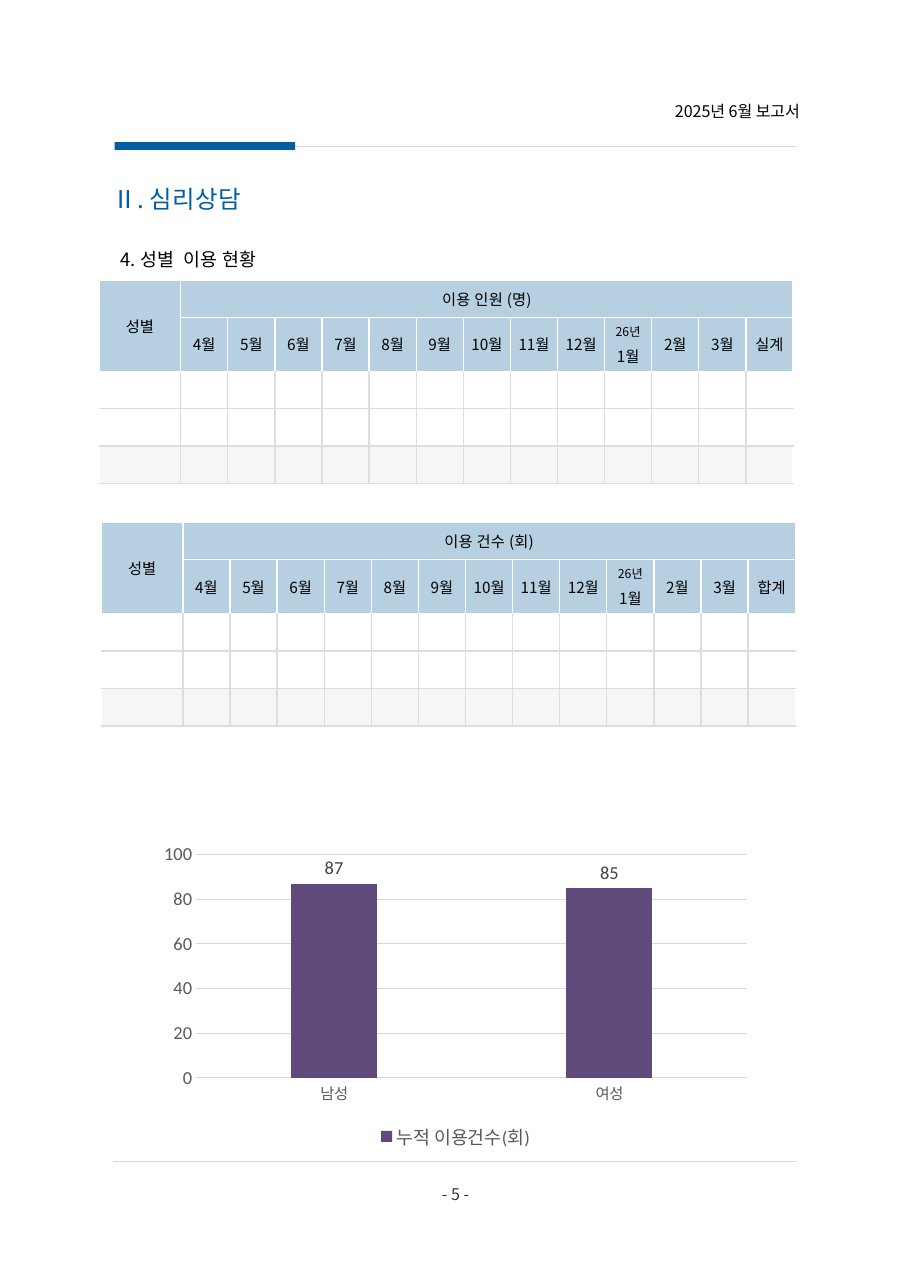
from lxml.etree import SubElement
from pptx import Presentation
from pptx.chart.data import CategoryChartData
from pptx.dml.color import RGBColor
from pptx.enum.chart import XL_CHART_TYPE as CT, XL_LABEL_POSITION as LP
from pptx.enum.chart import XL_LEGEND_POSITION as LG, XL_TICK_MARK as TM
from pptx.enum.shapes import MSO_CONNECTOR as CN, MSO_SHAPE as SH
from pptx.enum.text import MSO_ANCHOR as ANC, MSO_AUTO_SIZE as AS, PP_ALIGN as AL
from pptx.oxml.ns import qn
from pptx.util import Inches, Pt

KR, LATIN = "Noto Sans CJK KR", "Calibri"
BLUE, PALE, GRAY, RULE = "005FA1", "B6D0E1", "F6F6F6", "D9D9D9"
WHITE, BLACK, GRID, PURPLE = "FFFFFF", "000000", "DDDDDD", "604A7B"
MONTHS = [f"{m}월" for m in range(4, 13)] + ["26년\n1월", "2월", "3월"]


def rgb(color):
    return RGBColor.from_string(color)


def assign(obj, values):
    for name, value in values.items():
        setattr(obj, name, value)


def style_font(font, size, color, name=KR):
    assign(font, dict(size=Pt(size), name=name, bold=False))
    font.color.rgb = rgb(color)


def add_run(p, text, size, color=BLACK, spacing=0):
    r = p.add_run()
    r.text = text
    style_font(r.font, size, color)
    props = r.font._element if hasattr(r.font, "_element") else r._r.get_or_add_rPr()
    props.set("spc", str(round(spacing * 100)))
    SubElement(props, qn("a:ea"), typeface=KR)


def add_rule(s, x1, x2, y):
    line = s.shapes.add_connector(CN.STRAIGHT, Inches(x1), Inches(y), Inches(x2), Inches(y))
    line.line.color.rgb = rgb(RULE)
    line.line.width = Pt(0.75)
    SubElement(line._element.spPr, qn("a:effectLst"))


def add_text(s, box, runs, top, **paragraph):
    tf = s.shapes.add_textbox(*map(Inches, box)).text_frame
    assign(tf, dict(word_wrap=True, margin_left=0, margin_right=0,
                    margin_top=Inches(top), margin_bottom=0))
    assign(tf.paragraphs[0], paragraph)
    for run in runs:
        add_run(tf.paragraphs[0], *run)


def add_header(s, x, y, w):
    add_text(s, (x + w - 1.66, y, 1.69, 0.19), [("2025년 6월 보고서", 10.5)], 0.01,
             alignment=AL.RIGHT, space_before=Pt(1))
    add_rule(s, x + 1.47, x + w, y + 0.42)
    bar = s.shapes.add_shape(SH.RECTANGLE, Inches(x), Inches(y + 0.38), Inches(1.64), Inches(0.07))
    bar.shadow.inherit = False
    bar.fill.solid()
    bar.fill.fore_color.rgb = rgb(BLUE)
    bar.line.fill.background()


def add_headings(s, x, y, w):
    title = s.shapes.title
    assign(title, dict(left=Inches(x), top=Inches(y), width=Inches(2.34), height=Inches(0.37)))
    tf = title.text_frame
    assign(tf, dict(auto_size=AS.NONE, vertical_anchor=ANC.TOP, word_wrap=True))
    tf.paragraphs[0].alignment = AL.LEFT
    add_run(tf.paragraphs[0], "Ⅱ. 심리상담", 16, BLUE, 0.2)
    parts = [("4. 성별", 12, BLACK, 0.2), (" ", 12, BLACK, 3), ("이용 현황", 12, BLACK, 0.2)]
    add_text(s, (x + 0.17, y + 0.45, w - 0.17, 0.36), parts, 0.08,
             line_spacing=1.5, space_before=Pt(6))


def style_cell(cell, fill, edges):
    assign(cell, dict.fromkeys(
        ("margin_left", "margin_right", "margin_top", "margin_bottom"), Inches(0.04)))
    cell.vertical_anchor = ANC.MIDDLE
    props = cell._tc.get_or_add_tcPr()
    for side, color in zip("LRTB", edges):
        line = SubElement(props, qn(f"a:ln{side}"), w=str(Pt(1)))
        SubElement(SubElement(line, qn("a:solidFill")), qn("a:srgbClr"), val=color)
    cell.fill.solid()
    cell.fill.fore_color.rgb = rgb(fill)


def write_cell(cell, lines, before):
    tf = cell.text_frame
    for i, runs in enumerate(lines):
        p = tf.add_paragraph() if i else tf.paragraphs[0]
        assign(p, dict(alignment=AL.CENTER, space_before=Pt(before)))
        for run in runs:
            add_run(p, *run)


def add_usage_table(s, x, y, w, heading, unit, total):
    labels = MONTHS + [total]
    heights = [0.34, 0.49, 0.34, 0.34, 0.34]
    rows, cols = len(heights), len(labels) + 1
    table = s.shapes.add_table(rows, cols, Inches(x), Inches(y),
                               Inches(w), Inches(sum(heights))).table
    assign(table, dict(first_row=False, horz_banding=False))
    for c, col in enumerate(table.columns):
        col.width = Inches((w - 0.74) / len(labels) if c else 0.74)
    for r, height in enumerate(heights):
        table.rows[r].height = Inches(height)
        for c in range(cols):
            cell = table.cell(r, c)
            if r < 2:
                style_cell(cell, PALE, [WHITE] * 4)
                continue
            style_cell(cell, GRAY if r == rows - 1 else WHITE,
                       [GRID if c else WHITE, GRID if c < cols - 1 else WHITE,
                        GRID if r > 2 else WHITE, GRID])
            SubElement(cell.text_frame.paragraphs[0]._p, qn("a:endParaRPr"), sz="1000")
    table.cell(0, 0).merge(table.cell(1, 0))
    table.cell(0, 1).merge(table.cell(0, cols - 1))
    write_cell(table.cell(0, 0), [[("성별", 10)]], 9.1)
    write_cell(table.cell(0, 1),
               [[(f"{heading} ", 10, BLACK, 0.2), (f"({unit})", 10, BLACK, 0.1)]], 8.8)
    for c, label in enumerate(labels, 1):
        lines = [[(text, 8 if "년" in text else 10)] for text in label.split("\n")]
        write_cell(table.cell(1, c), lines, 3.4)


def add_usage_chart(s, x, y, w, h):
    data = CategoryChartData()
    data.categories = ["남성", "여성"]
    data.add_series("누적 이용건수(회)", [87, 85])
    chart = s.shapes.add_chart(CT.COLUMN_CLUSTERED, Inches(x), Inches(y),
                               Inches(w), Inches(h), data).chart
    style_font(chart.font, 10, BLACK, LATIN)
    assign(chart, dict(has_title=False, has_legend=True))
    assign(chart.legend, dict(position=LG.BOTTOM, include_in_layout=False))
    style_font(chart.legend.font, 12, "595959", LATIN)
    cat, val = chart.category_axis, chart.value_axis
    style_font(cat.tick_labels.font, 10, "595959")
    style_font(val.tick_labels.font, 12, "595959", LATIN)
    for axis in (cat, val):
        assign(axis, dict(major_tick_mark=TM.NONE, minor_tick_mark=TM.NONE))
    assign(val, dict(minimum_scale=0, maximum_scale=100, major_unit=20, has_major_gridlines=True))
    for line in (cat.format.line, val.major_gridlines.format.line):
        line.color.rgb = rgb(RULE)
        line.width = Pt(0.75)
    val.format.line.fill.background()
    plot = chart.plots[0]
    assign(plot, dict(gap_width=219, overlap=-27, vary_by_categories=False, has_data_labels=True))
    assign(plot.data_labels, dict(show_value=True, position=LP.OUTSIDE_END))
    style_font(plot.data_labels.font, 12, "404040", LATIN)
    fill = plot.series[0].format.fill
    fill.solid()
    fill.fore_color.rgb = rgb(PURPLE)


def add_footer(s, x, y, w):
    add_rule(s, x, x + w, y)
    add_text(s, (x + w / 2 - 0.2, y + 0.18, 0.41, 0.2), [("- 5 -", 10.5, "333333")], 0.03,
             alignment=AL.CENTER, space_before=Pt(1.9))


def main():
    prs = Presentation()
    assign(prs, dict(slide_width=Inches(8.26), slide_height=Inches(11.69)))
    s = prs.slides.add_slide(prs.slide_layouts[5])
    add_header(s, 1.04, 0.91, 6.19)
    add_headings(s, 0.92, 1.62, 6.3)
    add_usage_table(s, 0.9, 2.54, 6.3, "이용 인원", "명", "실계")
    add_usage_table(s, 0.92, 4.74, 6.3, "이용 건수", "회", "합계")
    add_usage_chart(s, 1.38, 7.6, 5.51, 2.88)
    add_footer(s, 1.03, 10.54, 6.2)
    prs.save("out.pptx")


if __name__ == "__main__":
    main()
